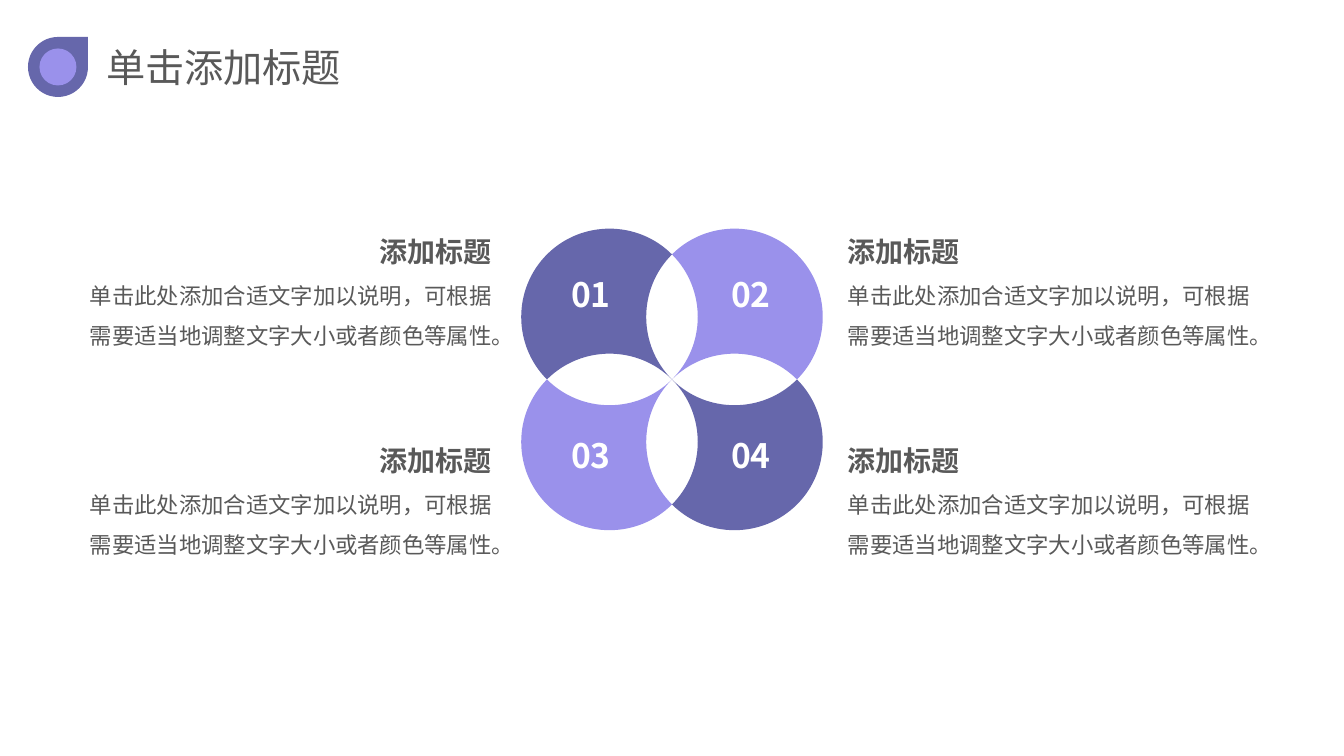
from dataclasses import dataclass
from math import sqrt

from lxml import etree
from pptx import Presentation
from pptx.dml.color import RGBColor
from pptx.enum.shapes import MSO_SHAPE
from pptx.enum.text import MSO_ANCHOR, MSO_AUTO_SIZE, PP_ALIGN
from pptx.oxml.ns import qn
from pptx.util import Pt

TEARDROP, OVAL = MSO_SHAPE.TEAR, MSO_SHAPE.OVAL
LEFT, CENTER, RIGHT = PP_ALIGN.LEFT, PP_ALIGN.CENTER, PP_ALIGN.RIGHT
TOP, MIDDLE = MSO_ANCHOR.TOP, MSO_ANCHOR.MIDDLE
FIT_SHAPE, FIT_NONE = MSO_AUTO_SIZE.SHAPE_TO_FIT_TEXT, MSO_AUTO_SIZE.NONE


@dataclass(frozen=True)
class Theme:
    dark: RGBColor = RGBColor.from_string("6667AB")
    light: RGBColor = RGBColor.from_string("9A91EB")
    text: RGBColor = RGBColor.from_string("595959")
    white: RGBColor = RGBColor.from_string("FFFFFF")
    font: str = "Noto Sans CJK SC"
    title: int = 28
    number: int = 24
    heading: int = 20
    body: int = 16


THEME = Theme()
TITLE = "单击添加标题"
HEADING = "添加标题"
DETAIL = "单击此处添加合适文字加以说明，可根据需要适当地调整文字大小或者颜色等属性。"
PETALS = [
    ("01", -1, -1, THEME.dark, HEADING, DETAIL),
    ("02", 1, -1, THEME.light, HEADING, DETAIL),
    ("03", -1, 1, THEME.light, HEADING, DETAIL),
    ("04", 1, 1, THEME.dark, HEADING, DETAIL),
]

PX = 914400 / 100.8
SLIDE_W, SLIDE_H = 1344, 756
HUB_X, HUB_Y = 672, 379.5
PETAL_OFFSET = 62.5
PETAL_RADIUS = PETAL_OFFSET * sqrt(2)
BEZIER = 0.55
NUMBER_W, NUMBER_H = 70, 46
NUMBER_COLUMNS = {-1: 556, 1: 716}
NUMBER_ROWS = {-1: 274, 1: 435}
CALLOUT_H = 138
CALLOUT_COLUMNS = {-1: (78, 424, RIGHT), 1: (838, 432, LEFT)}
CALLOUT_ROWS = {-1: 213, 1: 422}
BADGE_X, BADGE_Y = 58, 67


def emu(*lengths):
    return [round(length * PX) for length in lengths]


def paint(shape, color):
    shape.fill.solid()
    shape.fill.fore_color.rgb = color
    shape.line.fill.background()
    shape.shadow.inherit = False


def style(paragraph, size, color, align, bold=False, spacing=None):
    paragraph.alignment = align
    paragraph.line_spacing = spacing
    for run in paragraph.runs:
        font = run.font
        font.name, font.size, font.bold = THEME.font, Pt(size), bold
        font.color.rgb = color
        east_asian = etree.SubElement(run._r.get_or_add_rPr(), qn("a:ea"))
        east_asian.set("typeface", THEME.font)


def curve_edges(petal, corners):
    edges = list(petal._element.iter(qn("a:lnTo")))
    bulges = [False, True, True, False]
    for edge, (x1, y1), (x2, y2), outward in zip(edges, corners, corners[1:], bulges):
        if outward:
            controls = [(x1 + BEZIER * x2, y1 + BEZIER * y2),
                        (x2 + BEZIER * x1, y2 + BEZIER * y1)]
        else:
            inward = 1 - BEZIER
            controls = [(x1 * inward, y1 * inward), (x2 * inward, y2 * inward)]
        curve = etree.Element(qn("a:cubicBezTo"))
        for x, y in controls + [(x2, y2)]:
            point = etree.SubElement(curve, qn("a:pt"))
            left, top = emu(PETAL_RADIUS + x, PETAL_RADIUS + y)
            point.set("x", str(left))
            point.set("y", str(top))
        edge.getparent().replace(edge, curve)


def add_petal(slide, side, level, color):
    hub_x = -(side + level) / 2 * PETAL_RADIUS
    hub_y = (side - level) / 2 * PETAL_RADIUS
    corners = [(hub_x, hub_y), (-hub_y, hub_x), (-hub_x, -hub_y),
               (hub_y, -hub_x), (hub_x, hub_y)]
    center_x = HUB_X + side * PETAL_OFFSET
    center_y = HUB_Y + level * PETAL_OFFSET
    points = [emu(center_x + x, center_y + y) for x, y in corners]
    builder = slide.shapes.build_freeform(*points[0])
    builder.add_line_segments(points[1:], close=True)
    petal = builder.convert_to_shape()
    curve_edges(petal, corners)
    petal.rotation = 45
    paint(petal, color)


def add_number(slide, number, side, level):
    box = slide.shapes.add_textbox(*emu(
        NUMBER_COLUMNS[side], NUMBER_ROWS[level], NUMBER_W, NUMBER_H))
    frame = box.text_frame
    frame.word_wrap = True
    frame.auto_size = FIT_SHAPE
    frame.margin_left, frame.margin_right = emu(13, 13)
    frame.text = number
    paragraph = frame.paragraphs[0]
    style(paragraph, THEME.number, THEME.white, CENTER, True, 0.9)
    paragraph.space_before = Pt(10.6)


def add_callout(slide, heading, detail, side, level):
    left, width, align = CALLOUT_COLUMNS[side]
    box = slide.shapes.add_textbox(*emu(left, CALLOUT_ROWS[level], width, CALLOUT_H))
    frame = box.text_frame
    frame.word_wrap = True
    frame.auto_size = FIT_SHAPE
    frame.vertical_anchor = TOP
    frame.text = heading
    style(frame.paragraphs[0], THEME.heading, THEME.text, align, True, 1.5)
    explanation = frame.add_paragraph()
    explanation.text = detail
    style(explanation, THEME.body, THEME.text, align, False, 1.5)


def add_header(slide):
    for preset, size, color in [(TEARDROP, 60, THEME.dark), (OVAL, 37, THEME.light)]:
        badge = slide.shapes.add_shape(
            preset, *emu(BADGE_X - size / 2, BADGE_Y - size / 2, size, size))
        paint(badge, color)
    title = slide.shapes.title
    title.left, title.top, title.width, title.height = emu(96, 38, 281, 58)
    frame = title.text_frame
    frame.text = TITLE
    frame.word_wrap = True
    frame.auto_size = FIT_NONE
    frame.vertical_anchor = MIDDLE
    style(frame.paragraphs[0], THEME.title, THEME.text, LEFT)


def main():
    deck = Presentation()
    deck.slide_width, deck.slide_height = emu(SLIDE_W, SLIDE_H)
    slide = deck.slides.add_slide(deck.slide_layouts[5])
    add_header(slide)
    for number, side, level, color, heading, detail in PETALS:
        add_petal(slide, side, level, color)
        add_number(slide, number, side, level)
        add_callout(slide, heading, detail, side, level)
    deck.save("out.pptx")


if __name__ == "__main__":
    main()
